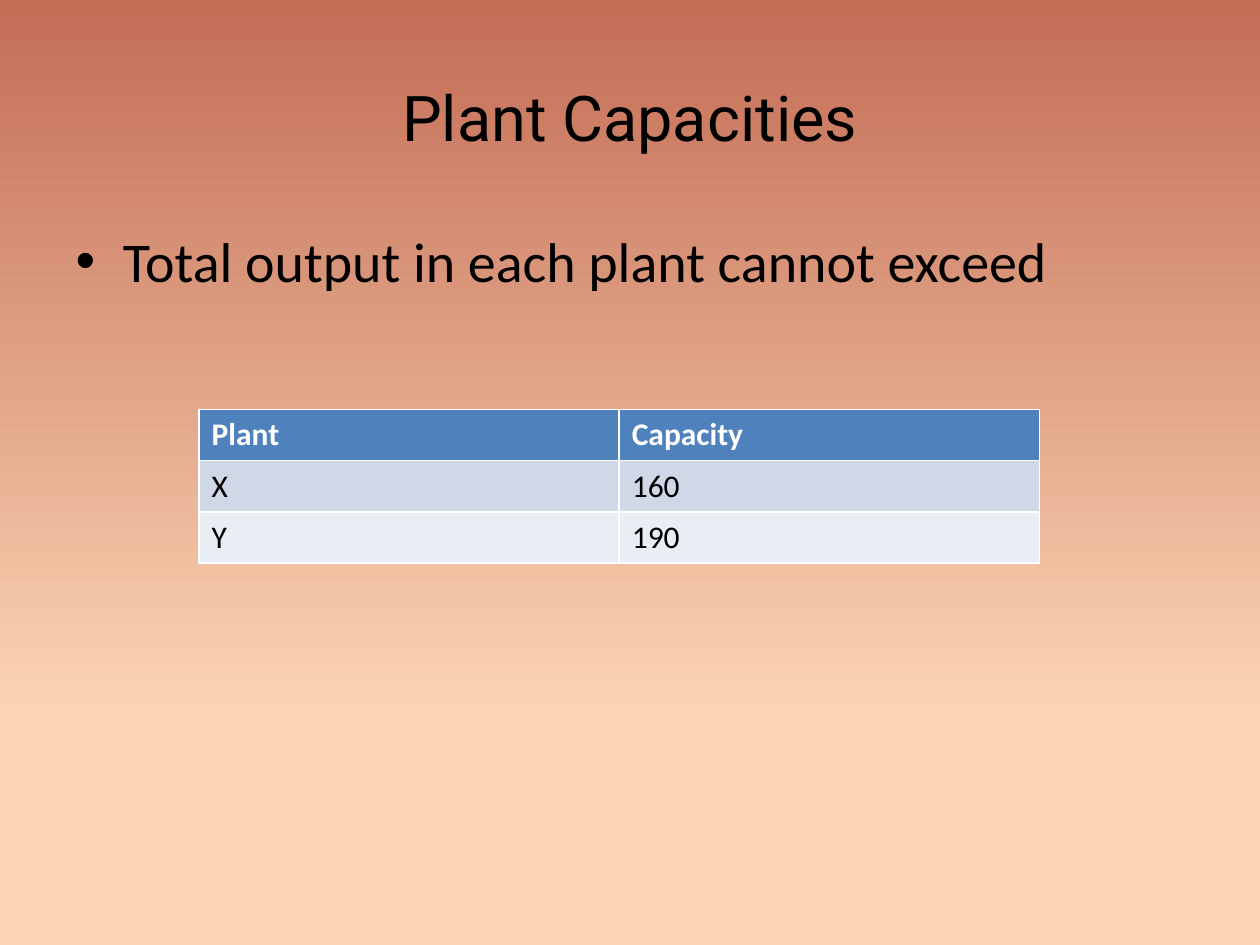
from dataclasses import dataclass

from pptx import Presentation
from pptx.dml.color import RGBColor
from pptx.enum.text import MSO_ANCHOR, PP_ALIGN
from pptx.util import Inches, Pt


@dataclass(frozen=True)
class Theme:
    title_font: str = "Roboto"
    body_font: str = "Calibri"
    title_size: int = 36
    body_size: int = 32
    table_size: int = 18
    text: str = "000000"
    header_text: str = "FFFFFF"
    header_fill: str = "4F81BD"
    row_fills: tuple = ("D0D8E8", "E9EDF4")
    # Gradient stops from the bottom of the page to the top
    background: tuple = ((0.24, "FCD5B5"), (1.0, "C36D55"))


THEME = Theme()
CAPACITIES = [("Plant", "Capacity"), ("X", "160"), ("Y", "190")]


def format_font(font, color, **values):
    for name, value in values.items():
        setattr(font, name, value)
    font.color.rgb = RGBColor.from_string(color)


def place(shape, box):
    for name, length in zip(("left", "top", "width", "height"), box):
        setattr(shape, name, Inches(length))


def paint_background(page):
    fill = page.background.fill
    fill.gradient()
    fill.gradient_angle = 90
    for stop, (position, color) in zip(fill.gradient_stops, THEME.background):
        stop.position = position
        stop.color.rgb = RGBColor.from_string(color)


def add_title(page, box, text):
    title = page.shapes.title
    place(title, box)
    frame = title.text_frame
    frame.text = text
    frame.vertical_anchor = MSO_ANCHOR.MIDDLE
    para = frame.paragraphs[0]
    para.alignment = PP_ALIGN.CENTER
    format_font(para.runs[0].font, THEME.text,
                name=THEME.title_font, size=Pt(THEME.title_size))


def add_bullets(page, box, lines):
    body = page.placeholders[1]
    place(body, box)
    frame = body.text_frame
    frame.text = "\n".join(lines)
    for para in frame.paragraphs:
        format_font(para.runs[0].font, THEME.text,
                    name=THEME.body_font, size=Pt(THEME.body_size))


def add_capacity_table(page, box, rows):
    """Add a table with a header row and alternating row fills."""
    lengths = [Inches(length) for length in box]
    table = page.shapes.add_table(len(rows), len(rows[0]), *lengths).table
    for row_index, values in enumerate(rows):
        is_header = row_index == 0
        fill = THEME.header_fill if is_header else THEME.row_fills[(row_index - 1) % 2]
        color = THEME.header_text if is_header else THEME.text
        for column_index, value in enumerate(values):
            cell = table.cell(row_index, column_index)
            cell.text = value
            cell.fill.solid()
            cell.fill.fore_color.rgb = RGBColor.from_string(fill)
            format_font(cell.text_frame.paragraphs[0].runs[0].font, color,
                        name=THEME.body_font, size=Pt(THEME.table_size), bold=is_header)


def main():
    deck = Presentation()
    deck.slide_width, deck.slide_height = Inches(10), Inches(7.5)
    page = deck.slides.add_slide(deck.slide_layouts[1])
    paint_background(page)
    add_title(page, (0.5, 0.3, 9, 1.25), "Plant Capacities")
    add_bullets(page, (0.5, 1.75, 9, 4.95), ["Total output in each plant cannot exceed"])
    add_capacity_table(page, (1.58, 3.25, 6.67, 1.22), CAPACITIES)
    deck.save("out.pptx")


if __name__ == "__main__":
    main()
